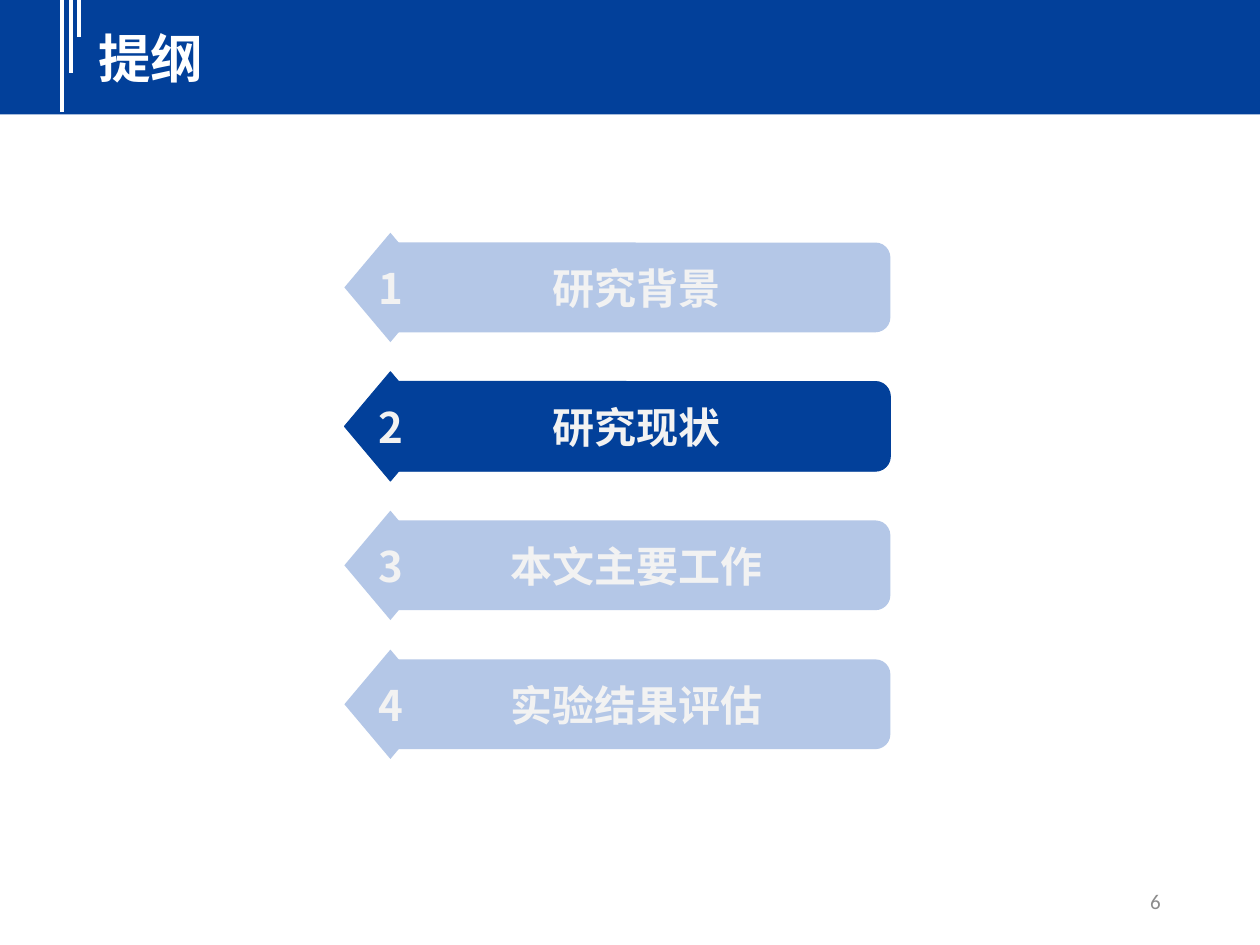
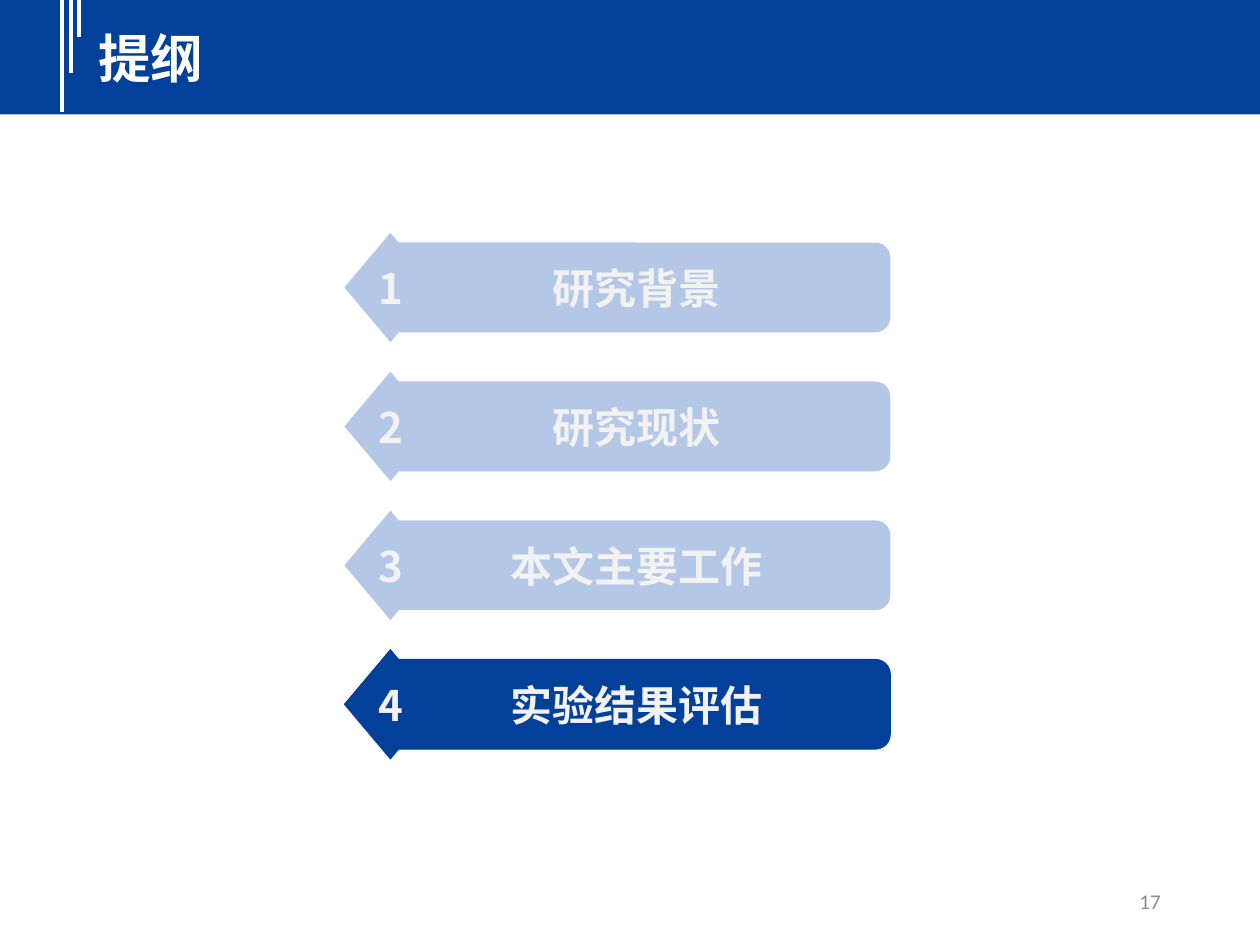
import pptx
import pptx.util
import pptx.dml.color
import pptx.enum.shapes
import pptx.enum.text
import pptx.oxml
import pptx.oxml.ns
from collections import namedtuple

Pt = pptx.util.Pt
RGBColor = pptx.dml.color.RGBColor
SHAPE = pptx.enum.shapes.MSO_SHAPE
ALIGN = pptx.enum.text.PP_ALIGN
ANCHOR = pptx.enum.text.MSO_ANCHOR
qn = pptx.oxml.ns.qn

Box = namedtuple("Box", "left top width height")

NAVY = RGBColor(0x02, 0x40, 0x9A)
PALE_BLUE = RGBColor(0xB4, 0xC7, 0xE7)
OFF_WHITE = RGBColor(0xF2, 0xF2, 0xF2)
WHITE = RGBColor(0xFF, 0xFF, 0xFF)
GREY = RGBColor(0x8C, 0x8C, 0x8C)
LATIN_FONT = "Calibri"
CJK_FONT = "Noto Sans CJK SC"

HEADER = Box(0, -2.2, 720, 67.7)
AGENDA = Box(196.8, 133, 312, 300.7)
PAGE_NUMBER = Box(508.3, 500.4, 162, 28.8)

TITLE = "提纲"
SECTIONS = ["研究背景", "研究现状", "本文主要工作", "实验结果评估"]
SLIDES = [(2, 6), (4, 17)]


def in_points(box):
    """Turn the four numbers of a box into lengths."""
    return [Pt(length) for length in box]


def write(shape, text, size, font, color, bold=False, align=ALIGN.LEFT,
          anchor=ANCHOR.MIDDLE, wrap=True):
    """Put one formatted line of text into a shape."""
    frame = shape.text_frame
    frame.text = text
    frame.word_wrap = wrap
    frame.vertical_anchor = anchor
    para = frame.paragraphs[0]
    para.alignment = align
    span = para.runs[0]
    span.font.size = Pt(size)
    span.font.bold = bold
    span.font.name = font
    span.font.color.rgb = color
    east_asian = pptx.oxml.parse_xml(
        '<a:ea xmlns:a="http://schemas.openxmlformats.org/drawingml/2006/main"'
        f' typeface="{CJK_FONT}"/>')
    span.font._element.find(qn("a:latin")).addnext(east_asian)


def add_filled(shapes, kind, box, fill, outlined=False):
    """Add a flat shape, with a thin outline of its own colour if asked."""
    shape = shapes.add_shape(kind, *in_points(box))
    shape.shadow.inherit = False
    shape.fill.solid()
    shape.fill.fore_color.rgb = fill
    if outlined:
        shape.line.color.rgb = fill
        shape.line.width = Pt(0.5)
    else:
        shape.line.fill.background()
    return shape


def add_header(page, box):
    """Draw the title band with its three hanging stripes."""
    add_filled(page.shapes, SHAPE.RECTANGLE, box, NAVY)
    for index, length in enumerate([66.2, 43.7, 23.5]):
        x = Pt(box.left + 35.4 + 5 * index)
        stripe = page.shapes.add_connector(
            pptx.enum.shapes.MSO_CONNECTOR.STRAIGHT,
            x, Pt(box.top), x, Pt(box.top + length))
        stripe.line.color.rgb = WHITE
        stripe.line.width = Pt(2.25)
        stripe._element.spPr.append(pptx.oxml.xmlchemy.OxmlElement("a:effectLst"))
    title_box = Box(box.left + 49, box.top + 13.7, 656.6, 43.9)
    title = page.shapes.add_textbox(*in_points(title_box))
    write(title, TITLE, 30, CJK_FONT, WHITE, bold=True, anchor=ANCHOR.TOP)


def add_section(page, box, number, label, active):
    """Draw one agenda entry: a rounded bar with a numbered diamond."""
    fill = NAVY if active else PALE_BLUE
    shapes = page.shapes.add_group_shape().shapes
    bar_box = Box(box.left + 22.2, box.top + 5.6, box.width - 22.2, box.height - 11.2)
    bar = add_filled(shapes, SHAPE.ROUNDED_RECTANGLE, bar_box, fill, active)
    diamond_box = Box(box.left, box.top, 52.6, box.height)
    diamond = add_filled(shapes, SHAPE.DIAMOND, diamond_box, fill, active)
    for shape, text, font in [(bar, label, LATIN_FONT), (diamond, str(number), CJK_FONT)]:
        write(shape, text, 24, font, OFF_WHITE, bold=True, align=ALIGN.CENTER, wrap=False)


def add_agenda(page, box, current):
    """Stack the sections evenly and highlight the current one."""
    height = 62.5
    pitch = (box.height - height) / (len(SECTIONS) - 1)
    for number, label in enumerate(SECTIONS, start=1):
        row = Box(box.left, box.top + (number - 1) * pitch, box.width, height)
        add_section(page, row, number, label, number == current)


def add_page_number(page, box, number):
    """Write the page number at the lower right."""
    footer = page.shapes.add_textbox(*in_points(box))
    write(footer, str(number), 12, LATIN_FONT, GREY, align=ALIGN.RIGHT)


def add_agenda_slide(deck, current, number):
    """Build one agenda slide."""
    page = deck.slides.add_slide(deck.slide_layouts[6])
    add_header(page, HEADER)
    add_agenda(page, AGENDA, current)
    add_page_number(page, PAGE_NUMBER, number)


def main():
    """Build and save the deck."""
    deck = pptx.Presentation()
    deck.slide_width = Pt(720)
    deck.slide_height = Pt(540)
    for current, number in SLIDES:
        add_agenda_slide(deck, current, number)
    deck.save("out.pptx")


if __name__ == "__main__":
    main()
